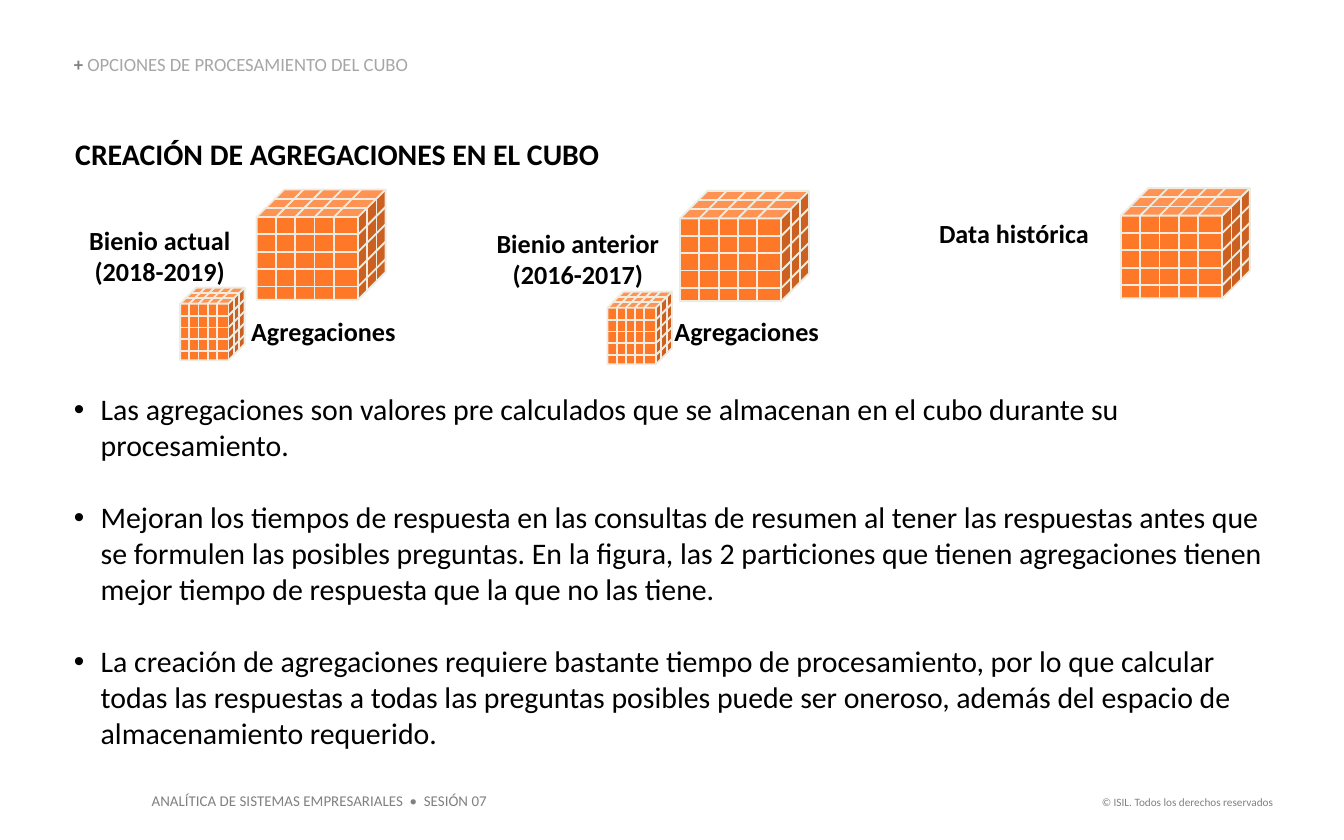
from lxml.etree import SubElement
from pptx import Presentation
from pptx.dml.color import RGBColor
from pptx.enum.shapes import MSO_CONNECTOR, MSO_SHAPE
from pptx.enum.text import MSO_ANCHOR, MSO_AUTO_SIZE, PP_ALIGN
from pptx.oxml.ns import qn
from pptx.util import Inches, Pt

FONT = "Calibri"
BLACK = RGBColor(0x00, 0x00, 0x00)
GRAY = RGBColor(0x80, 0x80, 0x80)
LIGHT_GRAY = RGBColor(0xA6, 0xA6, 0xA6)
ORANGE = RGBColor(0xFE, 0x78, 0x28)
CREAM = RGBColor(0xEE, 0xEC, 0xE1)

# Left, top, width, height in inches
BIG, SMALL = (0.96, 0.82), (0.48, 0.54)
CUBES = [
    (5.06, 1.42, *BIG), (1.91, 1.41, *BIG), (8.34, 1.40, *BIG),
    (4.52, 2.17, *SMALL), (1.34, 2.14, *SMALL),
]
LABELS = [
    ("Bienio actual\n(2018-2019)", (0.56, 1.62, 1.26, 0.57), PP_ALIGN.CENTER),
    ("Bienio anterior\n(2016-2017)", (3.59, 1.64, 1.42, 0.57), PP_ALIGN.CENTER),
    ("Data histórica", (6.88, 1.57, 1.33, 0.34), PP_ALIGN.CENTER),
    ("Agregaciones", (1.77, 2.30, 1.29, 0.34), PP_ALIGN.LEFT),
    ("Agregaciones", (4.92, 2.30, 1.29, 0.34), PP_ALIGN.LEFT),
]
POINTS = [
    "Las agregaciones son valores pre calculados que se almacenan en el cubo "
    "durante su procesamiento.",
    "Mejoran los tiempos de respuesta en las consultas de resumen al tener las "
    "respuestas antes que se formulen las posibles preguntas. En la figura, las 2 "
    "particiones que tienen agregaciones tienen mejor tiempo de respuesta que la "
    "que no las tiene.",
    "La creación de agregaciones requiere bastante tiempo de procesamiento, por lo "
    "que calcular todas las respuestas a todas las preguntas posibles puede ser "
    "oneroso, además del espacio de almacenamiento requerido.",
]


def format_font(font, size, color, bold=False):
    font.name, font.size, font.bold = FONT, Pt(size), bold
    font.color.rgb = color


def fill_text(s, text, size, color, bold=False, align=PP_ALIGN.LEFT,
              wrap=False, inset=True):
    tf = s.text_frame
    tf.text = text
    tf.word_wrap = wrap
    tf.auto_size = MSO_AUTO_SIZE.NONE
    tf.vertical_anchor = MSO_ANCHOR.TOP
    if not inset:
        tf.margin_left = tf.margin_top = tf.margin_right = tf.margin_bottom = 0
    for p in tf.paragraphs:
        p.alignment = align
        for r in p.runs:
            format_font(r.font, size, color, bold)
    return tf


def add_text(slide, box, *args, **kwargs):
    s = slide.shapes.add_textbox(*map(Inches, box))
    return fill_text(s, *args, **kwargs)


def add_line(group, x1, y1, x2, y2):
    line = group.shapes.add_connector(
        MSO_CONNECTOR.STRAIGHT, *map(Inches, (x1, y1, x2, y2)))
    line.line.color.rgb = CREAM
    line.line.width = Pt(1)
    SubElement(line._element.spPr, qn("a:effectLst"))


def add_cube(slide, left, top, width, height):
    group = slide.shapes.add_group_shape()
    cube = group.shapes.add_shape(
        MSO_SHAPE.CUBE, *map(Inches, (left, top, width, height)))
    cube.adjustments[0] = 0.25
    cube.shadow.inherit = False
    cube.fill.solid()
    cube.fill.fore_color.rgb = ORANGE
    cube.line.color.rgb = CREAM
    cube.line.width = Pt(1)

    depth = 0.25 * min(width, height)
    right, bottom = left + width - depth, top + height
    front_top = top + depth
    # Columns and rows run over the front and back along the depth
    for i in range(1, 5):
        x = left + 0.19 * i * (right - left)
        y = front_top + 0.21 * i * (bottom - front_top)
        add_line(group, x, front_top, x, bottom)
        add_line(group, x, front_top, x + depth, top)
        add_line(group, left, y, right, y)
        add_line(group, right, y, right + depth, y - depth)
    # Layers split the top and the side in three
    for i in (1, 2):
        d = depth * i / 3
        add_line(group, left + d, front_top - d, right + d, front_top - d)
        add_line(group, right + d, front_top - d, right + d, bottom - d)


def add_bullets(slide, box, points):
    tf = add_text(slide, box, "\n".join(points), 16, BLACK, wrap=True, inset=False)
    for p in tf.paragraphs:
        pPr = p._p.get_or_add_pPr()
        pPr.set("marL", str(Inches(0.2)))
        pPr.set("indent", str(Inches(-0.2)))
        SubElement(pPr, qn("a:buFont"), typeface="Arial")
        SubElement(pPr, qn("a:buChar"), char="•")
    for p in tf.paragraphs[1:]:
        p.space_before = Pt(19.5)


def add_section(slide):
    tf = add_text(slide, (0.55, 0.41, 3.8, 0.15), "+ ", 10, GRAY, bold=True,
                  wrap=True, inset=False)
    tf.vertical_anchor = MSO_ANCHOR.BOTTOM
    p = tf.paragraphs[0]
    p.line_spacing = 0.9
    r = p.add_run()
    r.text = "OPCIONES DE PROCESAMIENTO DEL CUBO"
    format_font(r.font, 10, LIGHT_GRAY)


def set_title(slide):
    title = slide.shapes.title
    title.left, title.top, title.width, title.height = map(
        Inches, (0.56, 1.01, 3.95, 0.27))
    fill_text(title, "CREACIÓN DE AGREGACIONES EN EL CUBO", 16, BLACK, bold=True,
              inset=False)


def main():
    prs = Presentation()
    prs.slide_width, prs.slide_height = Inches(10), Inches(6.25)
    slide = prs.slides.add_slide(prs.slide_layouts[5])

    # Headings
    set_title(slide)
    add_section(slide)

    # Partitions and their aggregations
    for cube in CUBES:
        add_cube(slide, *cube)
    for text, box, align in LABELS:
        add_text(slide, box, text, 14, BLACK, bold=True, align=align)

    # Explanation
    add_bullets(slide, (0.55, 2.91, 8.9, 2.79), POINTS)

    # Footer
    add_text(slide, (1.03, 5.84, 2.7, 0.24),
             "ANALÍTICA DE SISTEMAS EMPRESARIALES  •  SESIÓN 07", 8, GRAY)
    add_text(slide, (8.07, 5.87, 1.5, 0.2),
             "© ISIL. Todos los derechos reservados", 6, GRAY, align=PP_ALIGN.RIGHT)

    prs.save("out.pptx")


if __name__ == "__main__":
    main()
